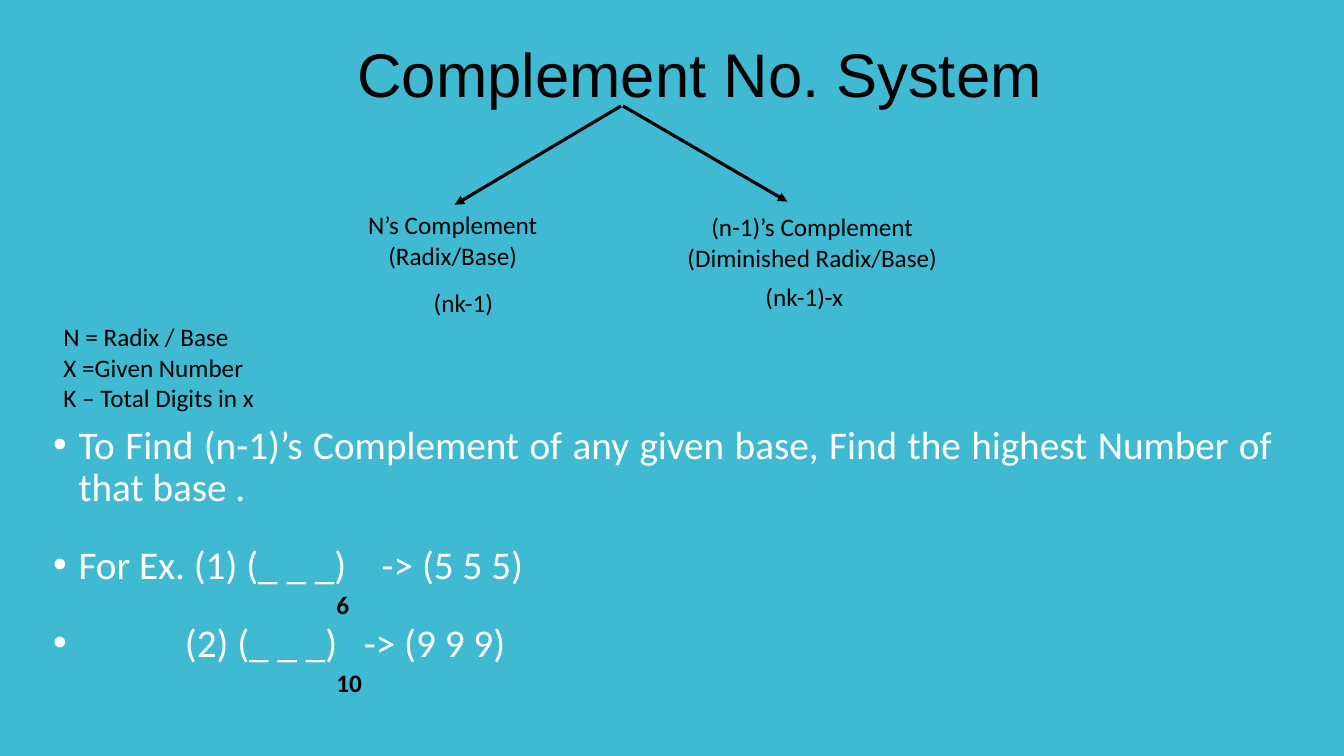
from dataclasses import dataclass

from lxml import etree
from pptx import Presentation
from pptx import util as u
from pptx.dml.color import RGBColor
from pptx.enum import shapes, text
from pptx.oxml import ns

BLACK, WHITE, TEAL = "000000", "FFFFFF", "40BAD2"
LEFT, CENTER, JUSTIFY = text.PP_ALIGN.LEFT, text.PP_ALIGN.CENTER, text.PP_ALIGN.JUSTIFY


@dataclass
class Label:
    """Text box in centimetres; one paragraph per entry of lines."""
    x: float
    y: float
    w: float
    h: float
    lines: tuple
    align: int = LEFT
    size: int = 18
    font: str = "Calibri"
    bold: bool = False
    anchor: int = text.MSO_ANCHOR.TOP


@dataclass
class Bullet:
    """Pieces are parted by one space, widened by gap points."""
    pieces: tuple
    indent: float
    spacing: float
    before: float
    gap: float = 0


@dataclass
class Arrow:
    x1: float
    y1: float
    x2: float
    y2: float


def color(value: str) -> RGBColor:
    return RGBColor.from_string(value)


def assign(obj, values: dict) -> None:
    for name, value in values.items():
        setattr(obj, name, value)


def set_font(font, size: int, name: str, fill: str, bold: bool = False) -> None:
    assign(font, {"size": u.Pt(size), "name": name, "bold": bold})
    font.color.rgb = color(fill)


def add_box(slide, x: float, y: float, w: float, h: float):
    tf = slide.shapes.add_textbox(u.Cm(x), u.Cm(y), u.Cm(w), u.Cm(h)).text_frame
    tf.word_wrap = True
    return tf


def paragraphs(tf, count: int) -> list:
    return [tf.paragraphs[0]] + [tf.add_paragraph() for _ in range(count - 1)]


def draw_label(slide, label: Label) -> None:
    tf = add_box(slide, label.x, label.y, label.w, label.h)
    tf.vertical_anchor = label.anchor
    for p, line in zip(paragraphs(tf, len(label.lines)), label.lines):
        p.text = line
        p.alignment = label.align
        for r in p.runs:
            set_font(r.font, label.size, label.font, BLACK, label.bold)


def draw_bullet(p, bullet: Bullet) -> None:
    assign(p, {"alignment": JUSTIFY, "line_spacing": bullet.spacing,
               "space_before": u.Pt(bullet.before)})
    ppr = p._p.get_or_add_pPr()
    ppr.set("marL", str(u.Cm(bullet.indent)))
    ppr.set("indent", str(-u.Cm(bullet.indent)))
    etree.SubElement(ppr, ns.qn("a:buFont")).set("typeface", "Arial")
    etree.SubElement(ppr, ns.qn("a:buChar")).set("char", "•")
    for i, piece in enumerate(bullet.pieces):
        for content in ((" ", piece) if i else (piece,)):
            r = p.add_run()
            r.text = content
            set_font(r.font, 28, "Calibri", WHITE)
            if content == " ":
                r.font._element.set("spc", str(int(bullet.gap * 100)))


def draw_arrow(slide, arrow: Arrow) -> None:
    sp = slide.shapes.add_connector(
        shapes.MSO_CONNECTOR.STRAIGHT, u.Cm(arrow.x1), u.Cm(arrow.y1),
        u.Cm(arrow.x2), u.Cm(arrow.y2))
    sp.line.width = u.Pt(2.25)
    sp.line.color.rgb = color(BLACK)
    etree.SubElement(sp.line._get_or_add_ln(), ns.qn("a:tailEnd")).set("type", "triangle")
    etree.SubElement(sp._element.spPr, ns.qn("a:effectLst"))


LABELS = [
    # Title
    Label(8.76, 0, 21.54, 3.68, ("Complement No. System",), size=44,
          font="Arial", anchor=text.MSO_ANCHOR.MIDDLE),
    # Two kinds of complement and their formulas
    Label(8.92, 5.16, 4.98, 1.8, ("N’s Complement\v(Radix/Base)",), CENTER),
    Label(16.89, 5.21, 7.16, 1.8, ("(n-1)’s Complement\v(Diminished Radix/Base)",), CENTER),
    Label(9.19, 7.11, 4.98, 1.02, ("(nk-1)",), CENTER),
    Label(17.78, 6.96, 4.98, 1.02, ("(nk-1)-x",), CENTER),
    # Legend
    Label(1.35, 7.98, 8.97, 2.57,
          ("N = Radix / Base", "X =Given Number", "K – Total Digits in x")),
    # Bases under the examples
    Label(8.23, 14.73, 1.4, 1.02, ("6",), bold=True),
    Label(8.23, 16.69, 1.4, 1.02, ("10",), bold=True),
]

BULLETS = [
    Bullet(("To Find (n-1)’s Complement of any given base, "
            "Find the highest Number of that base .",), 0.64, 0.9, 0),
    Bullet(("For Ex. (1) (_ _ _)", "-> (5 5 5)"), 0.64, 1.4, 8.5, 19),
    Bullet(("(2) (_ _ _)", "-> (9 9 9)"), 3.32, 1.4, 8.5, 12.7),
]

ARROWS = [Arrow(15.65, 2.67, 11.46, 5.16), Arrow(15.7, 2.67, 19.84, 5.08)]


def main() -> None:
    prs = Presentation()
    assign(prs, {"slide_width": u.Cm(33.87), "slide_height": u.Cm(19.05)})
    slide = prs.slides.add_slide(prs.slide_layouts[6])
    fill = slide.background.fill
    fill.solid()
    fill.fore_color.rgb = color(TEAL)

    # Rule and examples
    tf = add_box(slide, 1.09, 10.59, 31.22, 7.42)
    for p, bullet in zip(paragraphs(tf, len(BULLETS)), BULLETS):
        draw_bullet(p, bullet)

    # Branches and labels
    for arrow in ARROWS:
        draw_arrow(slide, arrow)
    for label in LABELS:
        draw_label(slide, label)

    prs.save("out.pptx")


if __name__ == "__main__":
    main()
